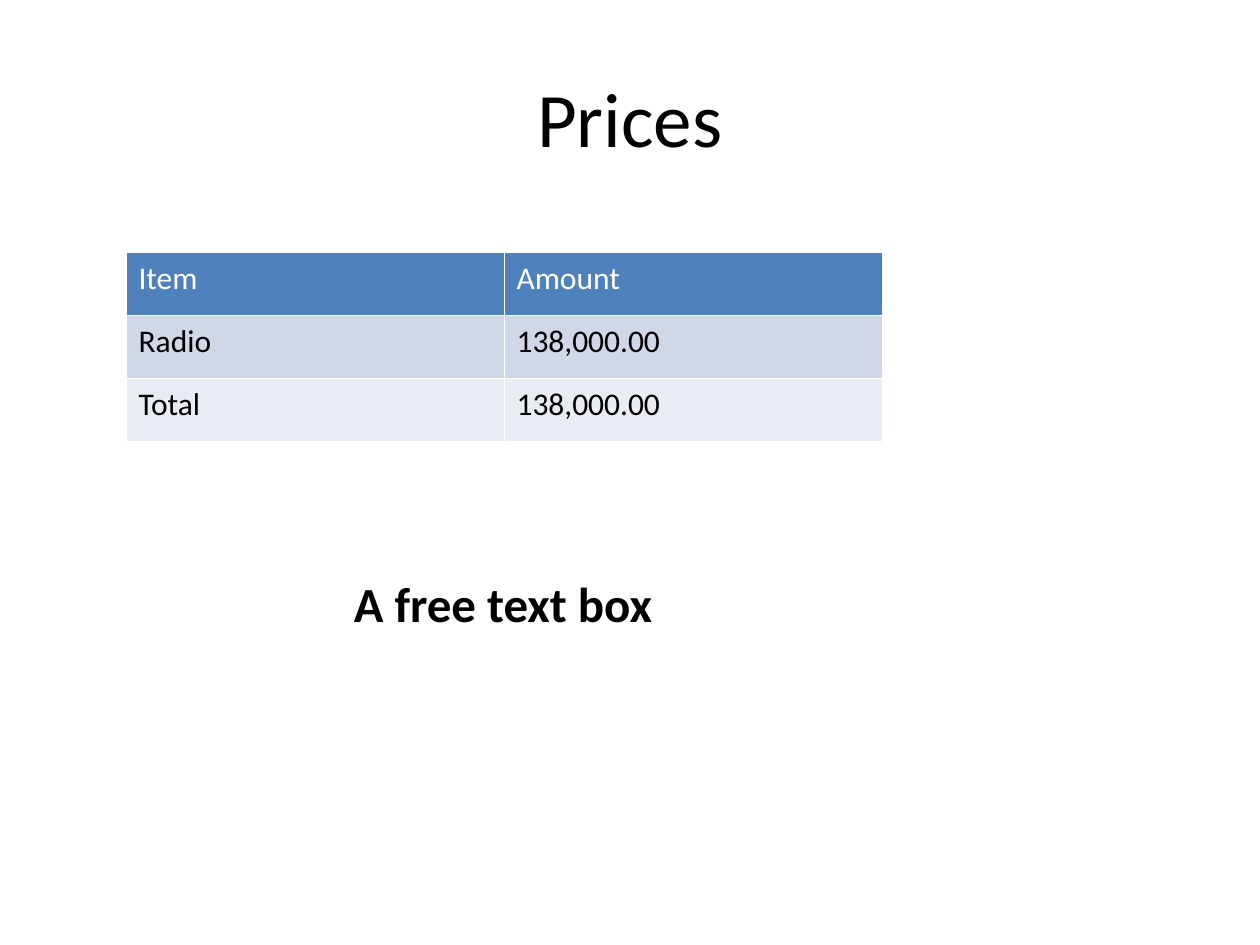
from lxml.etree import SubElement
from pptx import Presentation
from pptx.dml.color import RGBColor as RGB
from pptx.enum.text import MSO_ANCHOR, MSO_AUTO_SIZE, PP_ALIGN
from pptx.oxml.ns import qn
from pptx.util import Inches, Pt

BLACK = RGB(0x00, 0x00, 0x00)
WHITE = RGB(0xFF, 0xFF, 0xFF)
BLUE = RGB(0x4F, 0x81, 0xBD)
BAND = RGB(0xD0, 0xD8, 0xE7)
PALE = RGB(0xE9, 0xEC, 0xF3)

COL, ROW = Inches(3), Inches(0.5)


def write(frame, text, size, color, bold=False):
    frame.text = text
    para = frame.paragraphs[0]
    font = para.runs[0].font
    font.name, font.size, font.bold = "Calibri", Pt(size), bold
    font.color.rgb = color
    return para


def edge(cell):
    """Draw a thin white line on all four sides of a cell."""
    props = cell._tc.get_or_add_tcPr()
    for side in ("lnL", "lnR", "lnT", "lnB"):
        line = SubElement(props, qn(f"a:{side}"), w=str(Pt(0.45)))
        fill = SubElement(line, qn("a:solidFill"))
        SubElement(fill, qn("a:srgbClr"), val=str(WHITE))


deck = Presentation()
deck.slide_width, deck.slide_height = Inches(10), Inches(7.5)
slide = deck.slides.add_slide(deck.slide_layouts[6])
shapes = slide.shapes

# Title
title = shapes.add_textbox(Inches(0.5), Inches(0.3), Inches(9), Inches(1.25))
frame = title.text_frame
frame.word_wrap = True
frame.vertical_anchor = MSO_ANCHOR.MIDDLE
write(frame, "Prices", 44, BLACK).alignment = PP_ALIGN.CENTER

# Price table
rows = [
    (("Item", "Amount"), BLUE, WHITE),
    (("Radio", "138,000.00"), BAND, BLACK),
    (("Total", "138,000.00"), PALE, BLACK),
]
table = shapes.add_table(
    len(rows), 2, Inches(1), Inches(2), 2 * COL, len(rows) * ROW
).table
for r, (texts, back, ink) in enumerate(rows):
    for c, text in enumerate(texts):
        cell = table.cell(r, c)
        edge(cell)
        cell.fill.solid()
        cell.fill.fore_color.rgb = back
        write(cell.text_frame, text, 18, ink).line_spacing = 1.02

# Free text
note = shapes.add_textbox(Inches(2.71), Inches(4.5), Inches(2.59), Inches(0.57))
frame = note.text_frame
frame.word_wrap = False
frame.auto_size = MSO_AUTO_SIZE.SHAPE_TO_FIT_TEXT
write(frame, "A free text box", 28, BLACK, bold=True)

deck.save("out.pptx")
